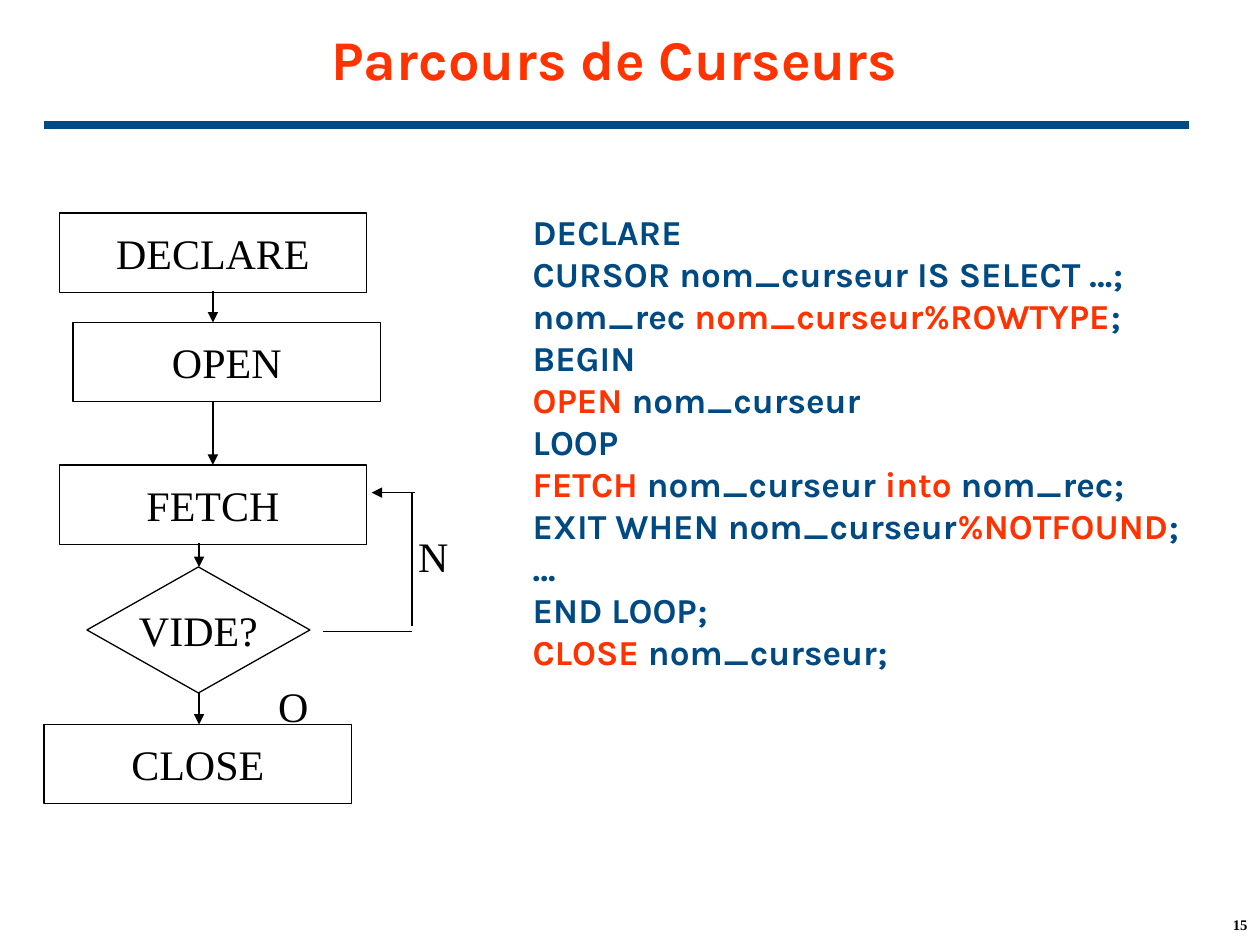
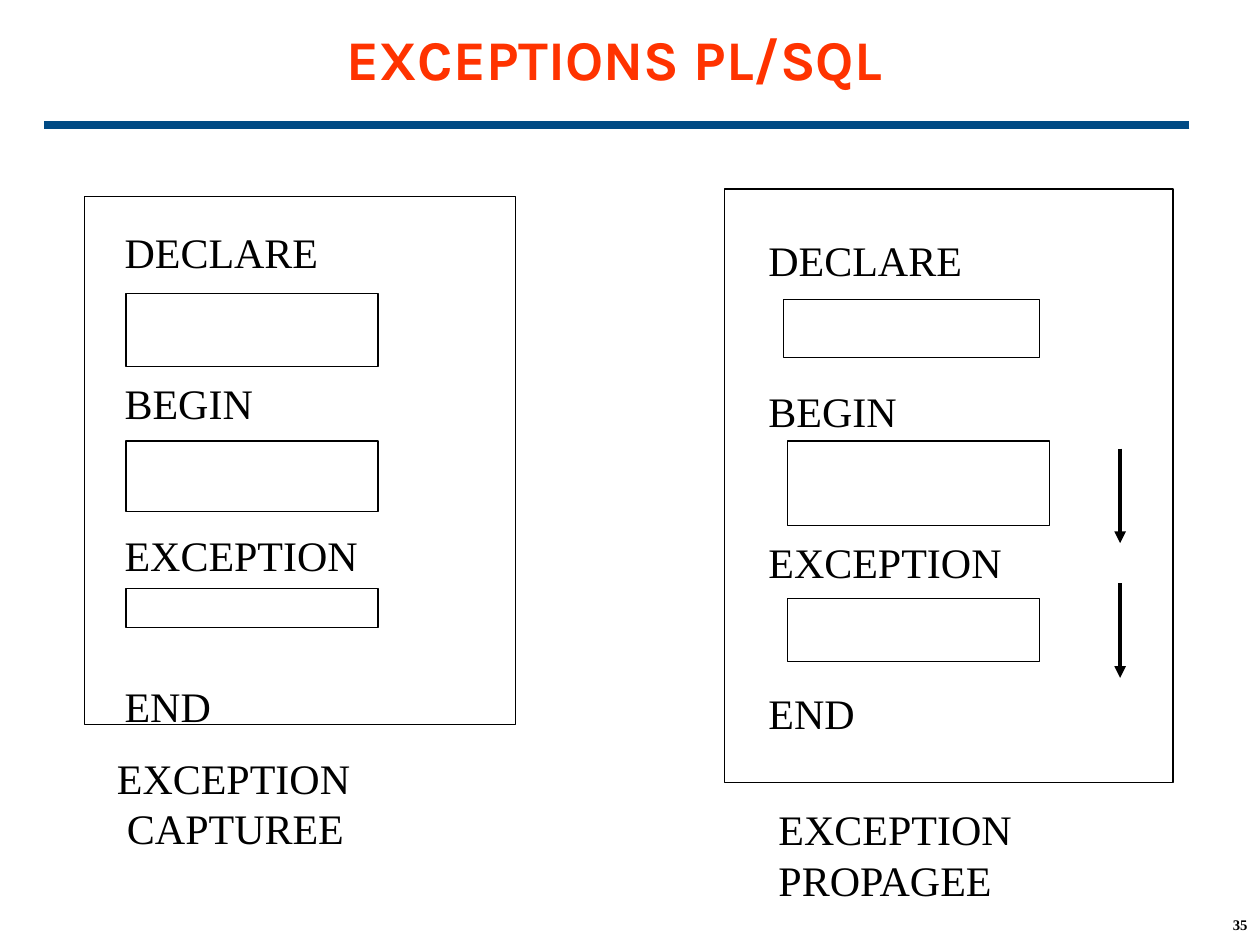
from dataclasses import dataclass
from typing import NamedTuple

from lxml.etree import SubElement
from pptx import Presentation
from pptx.dml.color import RGBColor
from pptx.enum.shapes import MSO_CONNECTOR as Connector, MSO_SHAPE as Preset
from pptx.enum.text import MSO_ANCHOR as Anchor, MSO_AUTO_SIZE as AutoSize, PP_ALIGN as Align
from pptx.oxml.ns import qn
from pptx.util import Emu, Inches, Pt

SLIDE_WIDTH, SLIDE_HEIGHT = Inches(10), Inches(7.5)
COLUMNS, ROWS = 100, 75


@dataclass(frozen=True)
class TextStyle:
    font: str
    size: float
    color: RGBColor
    bold: bool = False


@dataclass(frozen=True)
class Theme:
    accent: RGBColor = RGBColor(0xFF, 0x33, 0x00)
    blue: RGBColor = RGBColor(0x00, 0x4A, 0x84)
    black: RGBColor = RGBColor(0, 0, 0)
    white: RGBColor = RGBColor(0xFF, 0xFF, 0xFF)
    title: TextStyle = TextStyle("Karla", 32, accent, True)
    code: TextStyle = TextStyle("Karla", 20, blue, True)
    keyword: TextStyle = TextStyle("Karla", 20, accent, True)
    diagram: TextStyle = TextStyle("Times New Roman", 24, black)
    number: TextStyle = TextStyle("Times New Roman", 8.4, black, True)
    thin: float = 0.75
    thick: float = 2.25
    rule: float = 4.5
    diagram_pitch: float = 28.8


THEME = Theme()


class Area(NamedTuple):
    column: float
    row: float
    width: float
    height: float


class Run(NamedTuple):
    text: str
    style: TextStyle


class Arrow(NamedTuple):
    start: tuple[float, float]
    end: tuple[float, float]
    head: bool = True


class Step(NamedTuple):
    label: str
    area: Area
    preset: Preset = Preset.RECTANGLE


class Block(NamedTuple):
    frame: Area
    keywords: Area
    bodies: list[Area]
    caption: Area
    caption_lines: list[str]
    last_indent: float = 0


def across(columns: float) -> Emu:
    return Emu(round(SLIDE_WIDTH * columns / COLUMNS))


def down(rows: float) -> Emu:
    return Emu(round(SLIDE_HEIGHT * rows / ROWS))


def place(area: Area) -> tuple[Emu, Emu, Emu, Emu]:
    return across(area.column), down(area.row), across(area.width), down(area.height)


def write(paragraph, runs: list[Run], align: Align = Align.LEFT) -> None:
    paragraph.alignment = align
    for text, style in runs:
        run = paragraph.add_run()
        run.text = text
        run.font.name = style.font
        run.font.size = Pt(style.size)
        run.font.bold = style.bold
        run.font.color.rgb = style.color


def add_text(slide, area: Area, lines: list[list[Run]]) -> list:
    frame = slide.shapes.add_textbox(*place(area)).text_frame
    frame.word_wrap = False
    frame.auto_size = AutoSize.SHAPE_TO_FIT_TEXT
    for index, runs in enumerate(lines):
        write(frame.add_paragraph() if index else frame.paragraphs[0], runs)
    return list(frame.paragraphs)


def add_box(slide, area: Area, preset: Preset = Preset.RECTANGLE, filled: bool = False):
    shape = slide.shapes.add_shape(preset, *place(area))
    shape.shadow.inherit = False
    if filled:
        shape.fill.solid()
        shape.fill.fore_color.rgb = THEME.white
    else:
        shape.fill.background()
    shape.line.color.rgb = THEME.black
    shape.line.width = Pt(THEME.thin)
    return shape


def add_step(slide, step: Step) -> None:
    frame = add_box(slide, step.area, step.preset, filled=True).text_frame
    frame.word_wrap = False
    frame.vertical_anchor = Anchor.MIDDLE
    write(frame.paragraphs[0], [Run(step.label, THEME.diagram)], Align.CENTER)


def add_line(slide, arrow: Arrow, width: float, color: RGBColor = THEME.black) -> None:
    (x1, y1), (x2, y2) = arrow.start, arrow.end
    line = slide.shapes.add_connector(
        Connector.STRAIGHT, across(x1), down(y1), across(x2), down(y2))
    line.line.color.rgb = color
    line.line.width = Pt(width)
    if arrow.head:
        SubElement(line.line._get_or_add_ln(), qn("a:tailEnd"), type="triangle")
    SubElement(line._element.spPr, qn("a:effectLst"))


def add_titled_slide(presentation, title: str, number: int):
    slide = presentation.slides.add_slide(presentation.slide_layouts[5])
    heading = slide.shapes.title
    heading.left, heading.top, heading.width, heading.height = place(Area(3.5, 0, 90.6, 9.2))
    heading.text_frame.vertical_anchor = Anchor.MIDDLE
    write(heading.text_frame.paragraphs[0], [Run(title, THEME.title)], Align.CENTER)
    add_line(slide, Arrow((94.4, 9.9), (3.5, 9.9), False), THEME.rule, THEME.blue)
    footer = slide.shapes.add_textbox(*place(Area(95, 72.5, 5, 2.5))).text_frame
    footer.word_wrap = True
    footer.paragraphs[0].line_spacing = 0.8
    write(footer.paragraphs[0], [Run(str(number), THEME.number)], Align.RIGHT)
    return slide


def code(text: str) -> Run:
    return Run(text, THEME.code)


def keyword(text: str) -> Run:
    return Run(text, THEME.keyword)


STEPS = [
    Step("OPEN", Area(5.8, 25.6, 24.4, 6.3)),
    Step("DECLARE", Area(4.7, 16.9, 24.4, 6.3)),
    Step("FETCH", Area(4.7, 36.9, 24.4, 6.3)),
    Step("VIDE?", Area(6.9, 45, 17.7, 10), Preset.DIAMOND),
    Step("CLOSE", Area(3.5, 57.5, 24.4, 6.3)),
]
FLOW = [
    Arrow((16.9, 23.1), (16.9, 25.6)),
    Arrow((16.9, 31.9), (16.9, 36.9)),
    Arrow((15.8, 43.1), (15.8, 45)),
    Arrow((15.8, 55), (15.8, 57.5)),
    Arrow((25.6, 50.1), (32.7, 50.1), False),
    Arrow((32.7, 39.1), (32.7, 49.7), False),
    Arrow((32.9, 39.1), (29.5, 39.1)),
]
BRANCHES = {"N": Area(32.2, 41.6, 4.4, 5), "O": Area(21.1, 53.5, 4.4, 5)}
CURSOR_CODE = [
    [code("DECLARE")],
    [code("CURSOR nom_curseur IS SELECT …;")],
    [code("nom_rec "), keyword("nom_curseur%ROWTYPE"), code(";")],
    [code("BEGIN")],
    [keyword("OPEN"), code(" nom_curseur")],
    [code("LOOP")],
    [keyword("FETCH"), code(" nom_curseur "), keyword("into"), code(" nom_rec;")],
    [code("EXIT WHEN nom_curseur"), keyword("%NOTFOUND"), code(";")],
    [code("…")],
    [code("END LOOP;")],
    [keyword("CLOSE"), code(" nom_curseur;")],
]

BLOCK_KEYWORDS = ["DECLARE", "BEGIN", "EXCEPTION", "END"]
BLOCKS = [
    Block(
        Area(6.7, 15.6, 34.2, 41.9), Area(8.9, 17.5, 20.5, 41),
        [Area(10, 23.3, 20, 5.8), Area(10, 35, 20, 5.6), Area(10, 46.7, 20, 3.1)],
        Area(8.3, 59.2, 27.4, 9), ["EXCEPTION", "CAPTUREE"], 0.8),
    Block(
        Area(57.5, 15, 35.6, 47.1), Area(60, 18.1, 20.5, 41),
        [Area(62.2, 23.8, 20.3, 4.6), Area(62.5, 35, 20.8, 6.7), Area(62.5, 47.5, 20, 5)],
        Area(60.8, 63.3, 20.5, 9), ["EXCEPTION", "PROPAGEE"]),
]
PROPAGATION = [Arrow((88.9, row), (88.9, row + 7.5)) for row in (35.6, 46.3)]


def draw_block(slide, block: Block) -> None:
    paragraphs = add_text(
        slide, block.keywords, [[Run(word, THEME.diagram)] for word in BLOCK_KEYWORDS])
    for index, paragraph in enumerate(paragraphs):
        paragraph.line_spacing = Pt(THEME.diagram_pitch)
        if index:
            paragraph.space_before = Pt(2 * THEME.diagram_pitch)
    for area in [*block.bodies, block.frame]:
        add_box(slide, area)
    caption = add_text(
        slide, block.caption, [[Run(line, THEME.diagram)] for line in block.caption_lines])
    if block.last_indent:
        caption[-1]._p.get_or_add_pPr().set("marL", str(across(block.last_indent)))


def build_cursor_slide(presentation) -> None:
    slide = add_titled_slide(presentation, "Parcours de Curseurs", 15)
    for step in STEPS:
        add_step(slide, step)
    for arrow in FLOW:
        add_line(slide, arrow, THEME.thin)
    for label, area in BRANCHES.items():
        add_text(slide, area, [[Run(label, THEME.diagram)]])
    add_text(slide, Area(41.3, 16.2, 54.7, 41), CURSOR_CODE)


def build_exception_slide(presentation) -> None:
    slide = add_titled_slide(presentation, "EXCEPTIONS PL/SQL", 35)
    for block in BLOCKS:
        draw_block(slide, block)
    for arrow in PROPAGATION:
        add_line(slide, arrow, THEME.thick)


def main() -> None:
    presentation = Presentation()
    presentation.slide_width, presentation.slide_height = SLIDE_WIDTH, SLIDE_HEIGHT
    build_cursor_slide(presentation)
    build_exception_slide(presentation)
    presentation.save("out.pptx")


if __name__ == "__main__":
    main()
